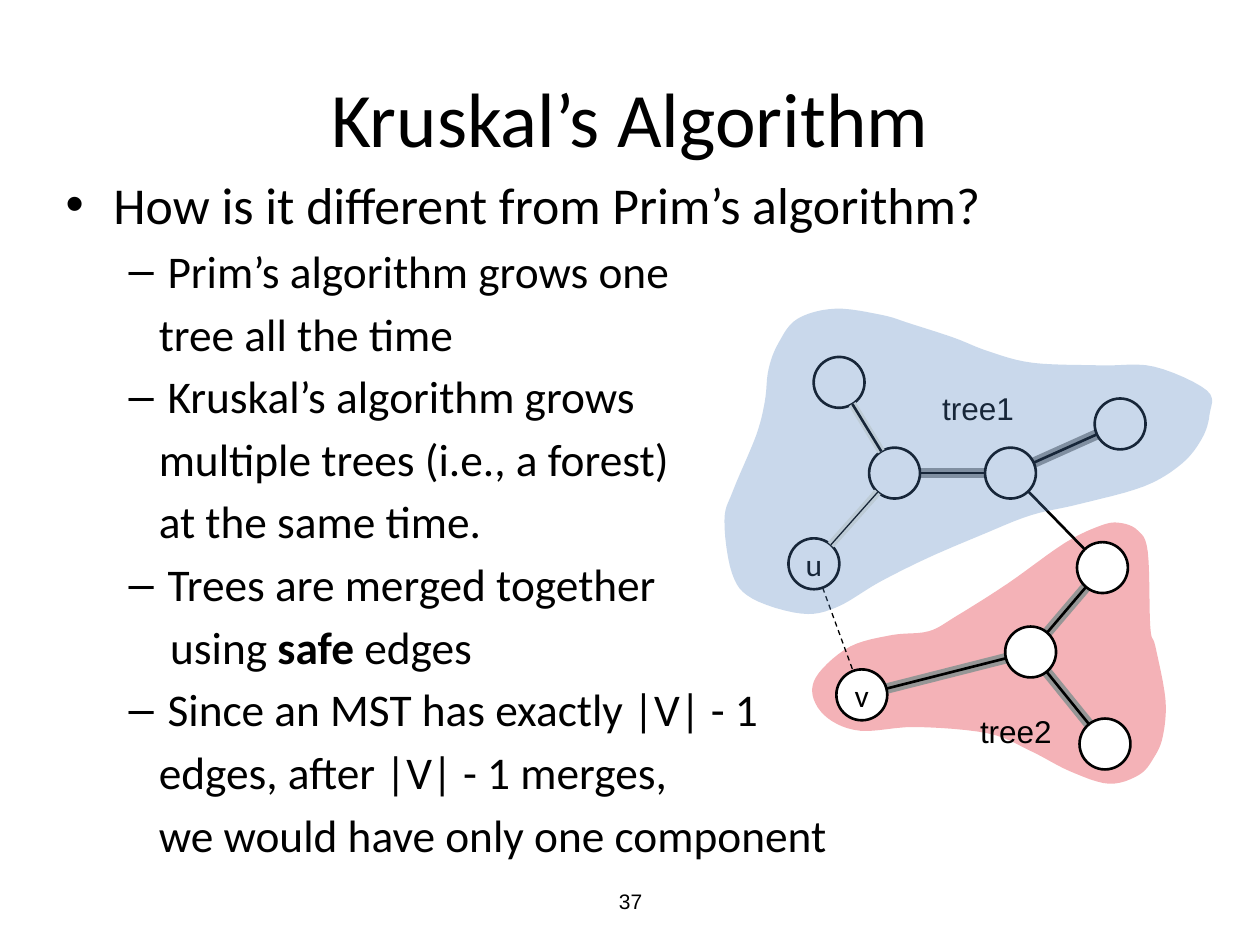
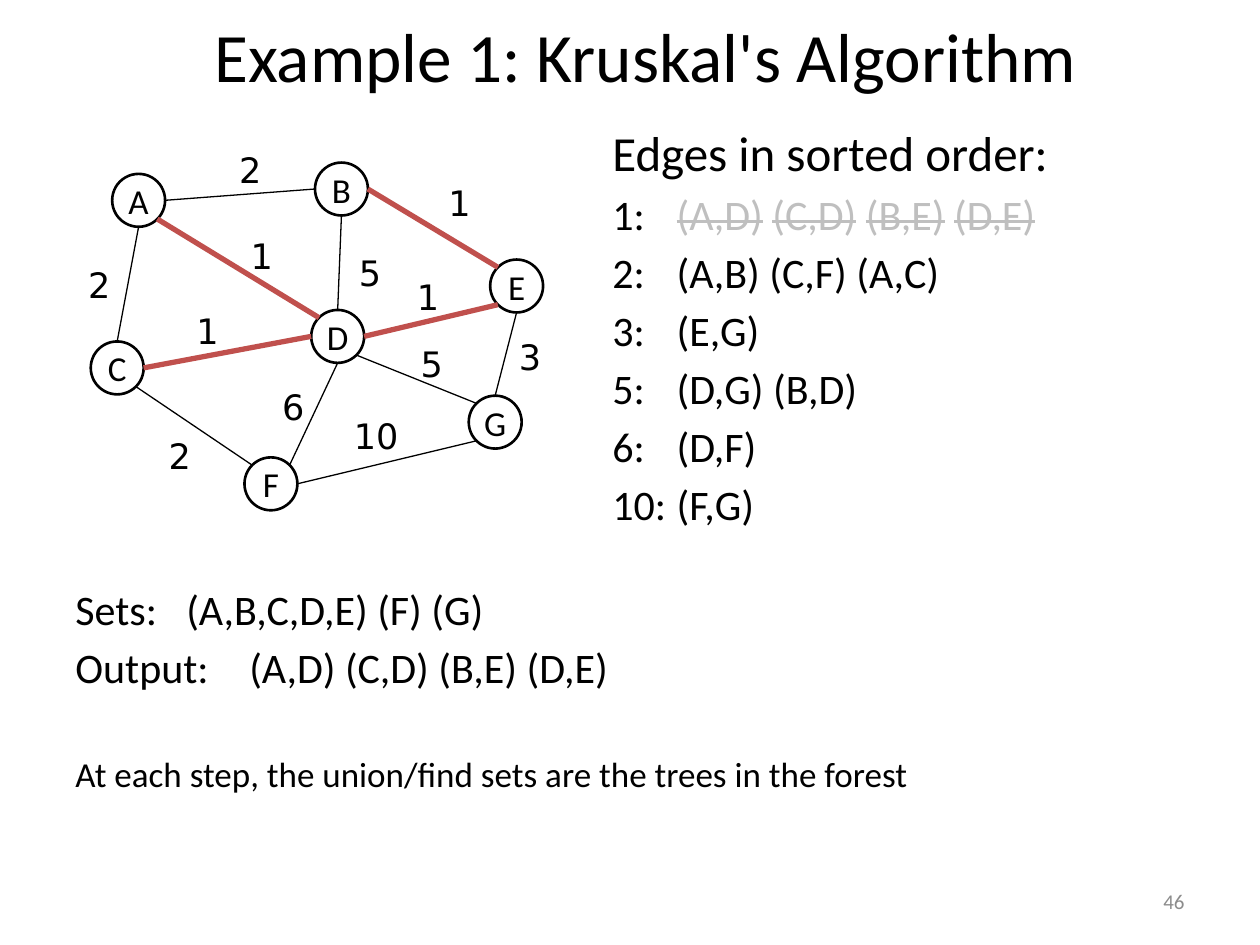
"""Build two slides on Kruskal's algorithm."""
from dataclasses import dataclass
from math import atan2, cos, radians, sin
from typing import NamedTuple

from lxml import etree
from pptx import Presentation
from pptx.dml.color import RGBColor
from pptx.enum.dml import MSO_LINE
from pptx.enum.shapes import MSO_CONNECTOR, MSO_SHAPE
from pptx.enum.text import MSO_ANCHOR, MSO_AUTO_SIZE, PP_ALIGN
from pptx.oxml.ns import qn
from pptx.util import Emu, Inches, Pt

STRAIGHT, OVAL, DASH = MSO_CONNECTOR.STRAIGHT, MSO_SHAPE.OVAL, MSO_LINE.DASH
MIDDLE = MSO_ANCHOR.MIDDLE
LEFT, CENTER, RIGHT = PP_ALIGN.LEFT, PP_ALIGN.CENTER, PP_ALIGN.RIGHT
FIXED, GROW = MSO_AUTO_SIZE.NONE, MSO_AUTO_SIZE.SHAPE_TO_FIT_TEXT

WIDTH, HEIGHT = Inches(10), Inches(7.5)
CELL = WIDTH / 100
GAP_SHARE = 0.18
BLACK, WHITE, GREY, PALE = "000000", "FFFFFF", "969696", "EEECE1"
BLUE, RED, CHOSEN, DONE, FOOTER = "4F81BD", "DD0111", "C0504D", "BFBFBF", "8C8C8C"
COMPASS = {"E": 0, "SE": 45, "S": 90, "SW": 135, "W": 180, "NW": 225, "N": 270, "NE": 315}


class Box(NamedTuple):
    """A place on the grid of 100 columns and 75 rows."""
    left: float
    top: float
    width: float
    height: float


@dataclass
class Para:
    """A paragraph with its runs, size and indents in columns."""
    runs: list
    size: float
    left: float = 0
    first: float = 0
    bullet: str = ""
    tab: float = 0
    level: int = 0


@dataclass
class Node:
    """A graph node given by its centre and radius."""
    x: float
    y: float
    radius: float
    text: str = ""


@dataclass
class Edge:
    """A line between two nodes, at compass points or the nearest rims."""
    start: str
    end: str
    color: str = BLACK
    width: float = 1.5
    sites: tuple = ()
    dashed: bool = False


@dataclass
class Label:
    """A short piece of free text."""
    text: str
    box: Box


def rgb(color: str) -> RGBColor:
    """Turn a hex string into a colour."""
    return RGBColor.from_string(color)


def cells(*values: float) -> list:
    """Turn grid cells into lengths."""
    return [Emu(round(v * CELL)) for v in values]


def format_with(target, **values) -> None:
    """Set several attributes of one object."""
    for name, value in values.items():
        setattr(target, name, value)


def add_run(p, text: str, size: float, font: str = "Calibri", color: str = BLACK,
            bold: bool = False, strike: bool = False) -> None:
    """Add a formatted run to a paragraph."""
    r = p.add_run()
    r.text = text
    format_with(r.font, size=Pt(size), name=font, bold=bold)
    r.font.color.rgb = rgb(color)
    if strike:
        r._r.get_or_add_rPr().set("strike", "sngStrike")


def fill_paragraphs(tf, paras: list) -> None:
    """Write indented paragraphs into a text frame."""
    for i, para in enumerate(paras):
        p = tf.paragraphs[0] if i == 0 else tf.add_paragraph()
        p.level = para.level
        pPr = p._p.get_or_add_pPr()
        left, first = cells(para.left, para.first)
        pPr.set("marL", str(left))
        pPr.set("indent", str(first))
        if para.bullet:
            etree.SubElement(pPr, qn("a:buChar")).set("char", para.bullet)
        else:
            etree.SubElement(pPr, qn("a:buNone"))
        if para.tab:
            tabs = etree.SubElement(pPr, qn("a:tabLst"))
            stop = etree.SubElement(tabs, qn("a:tab"))
            stop.set("pos", str(cells(para.tab)[0]))
            stop.set("algn", "l")
        p.space_before = Pt(round(para.size * GAP_SHARE, 1) if i else 0)
        for text, look in para.runs:
            add_run(p, text, para.size, **look)


def place(sp, box: Box) -> None:
    """Move a placeholder to a grid box."""
    format_with(sp, **dict(zip(Box._fields, cells(*box))))


def start_slide(prs, title: str, size: float, title_box: Box, body: list, body_box: Box):
    """Add a slide with its title and body placeholders filled."""
    s = prs.slides.add_slide(prs.slide_layouts[1])
    head, main = s.placeholders
    place(head, title_box)
    place(main, body_box)
    for sp in (head, main):
        format_with(sp.text_frame, auto_size=FIXED, word_wrap=True)
    head.text_frame.vertical_anchor = MIDDLE
    p = head.text_frame.paragraphs[0]
    p.alignment = CENTER
    add_run(p, title, size)
    fill_paragraphs(main.text_frame, body)
    return s


def add_text(s, label: Label, size: float, font: str = "Calibri", color: str = BLACK,
             align=LEFT, **frame) -> None:
    """Add a one-line text box."""
    tf = s.shapes.add_textbox(*cells(*label.box)).text_frame
    format_with(tf, **({"word_wrap": False, "auto_size": GROW} | frame))
    p = tf.paragraphs[0]
    p.alignment = align
    add_run(p, label.text, size, font, color)


def add_number(s, number: str, box: Box, **look) -> None:
    """Add the slide number."""
    add_text(s, Label(number, box), 12, word_wrap=True, auto_size=FIXED,
             vertical_anchor=MIDDLE, **look)


def add_node(s, node: Node, size: float, fill: str = "") -> None:
    """Draw a node as a circle."""
    d = 2 * node.radius
    sp = s.shapes.add_shape(OVAL, *cells(node.x - node.radius, node.y - node.radius, d, d))
    sp.shadow.inherit = False
    if fill:
        sp.fill.solid()
        sp.fill.fore_color.rgb = rgb(fill)
    else:
        sp.fill.background()
    sp.line.color.rgb = rgb(BLACK)
    sp.line.width = Pt(1.5)
    if node.text:
        format_with(sp.text_frame, word_wrap=False, vertical_anchor=MIDDLE)
        p = sp.text_frame.paragraphs[0]
        p.alignment = CENTER
        add_run(p, node.text, size)


def rim(node: Node, other: Node, site: str) -> tuple:
    """Find the point on a node's rim where an edge ends."""
    angle = radians(COMPASS[site]) if site else atan2(other.y - node.y, other.x - node.x)
    return node.x + node.radius * cos(angle), node.y + node.radius * sin(angle)


def add_edge(s, nodes: dict, edge: Edge) -> None:
    """Draw an edge as a connector."""
    a, b = nodes[edge.start], nodes[edge.end]
    site_a, site_b = edge.sites or ("", "")
    c = s.shapes.add_connector(STRAIGHT, *cells(*rim(a, b, site_a), *rim(b, a, site_b)))
    c.line.color.rgb = rgb(edge.color)
    c.line.width = Pt(edge.width)
    if edge.dashed:
        c.line.dash_style = DASH
    etree.SubElement(c._element.spPr, qn("a:effectLst"))


def smooth(points: list, steps: int = 6) -> list:
    """Round a closed outline with a Catmull-Rom curve."""
    n, curve = len(points), []
    for i in range(n):
        corners = [points[(i + k) % n] for k in (-1, 0, 1, 2)]
        for step in range(steps):
            t = step / steps
            curve.append(cells(*[
                (2 * b + (c - a) * t + (2 * a - 5 * b + 4 * c - d) * t ** 2
                 + (3 * b - a - 3 * c + d) * t ** 3) / 2 for a, b, c, d in zip(*corners)]))
    return curve


def add_region(s, points: list, color: str) -> None:
    """Draw a see-through region around a tree."""
    start, *rest = smooth(points)
    builder = s.shapes.build_freeform(*start)
    builder.add_line_segments(rest, close=True)
    sp = builder.convert_to_shape()
    sp.shadow.inherit = False
    sp.fill.solid()
    sp.fill.fore_color.rgb = rgb(color)
    sp.line.fill.background()
    tint = sp._element.spPr.find(qn("a:solidFill"))[0]
    etree.SubElement(tint, qn("a:alpha")).set("val", "30000")


TREE1_OUTLINE = [
    (63.3, 25.3), (61.8, 27.2), (61, 29.3), (60.7, 31.9), (60, 34.6), (58.2, 38.9),
    (57.5, 41.3), (58.1, 45.5), (59.7, 47.5), (63.6, 48.7), (66.4, 48.2), (69.8, 46.2),
    (73.6, 44.3), (77.8, 42.5), (81.8, 40.9), (85.7, 40), (90.8, 38.6), (93.8, 36.8),
    (95.4, 34.8), (96, 32.9), (95.8, 31), (91.6, 29.1), (87.4, 29), (82, 28.8),
    (78.5, 27.9), (75.7, 26.8), (72.3, 25.7), (70, 25), (66.3, 24.5)]
TREE2_OUTLINE = [
    (73.7, 50.1), (70.8, 50.4), (67.5, 51.3), (65, 53.4), (64.5, 55.2), (65.7, 57),
    (68.3, 58), (72.7, 57.7), (78.4, 58.2), (81.8, 59.6), (84.9, 61.2), (88, 62.2),
    (90.4, 61.5), (91.6, 60.1), (92.3, 58.4), (92.5, 55.5), (91.7, 51.3), (91.3, 49.8),
    (91.1, 43.8), (90.3, 42.1), (88.9, 41.5), (87.4, 41.7), (84.5, 43.1), (80, 46.3),
    (75.9, 48.9)]
FOREST = {name: Node(x, y, 2.02, text) for name, x, y, text in [
    ("u", 64.6, 44.75, "u"), ("hub1", 71, 37.55, ""), ("mid", 80.2, 37.55, ""),
    ("east", 88.9, 33.65, ""), ("top", 66.6, 30.35, ""), ("right", 87.5, 45.05, ""),
    ("hub2", 81.8, 51.75, ""), ("low", 87.7, 59.05, ""), ("v", 68.4, 55.15, "v")]}
SAFE_EDGES = [("hub1", "mid"), ("mid", "east"), ("v", "hub2"), ("hub2", "right"),
              ("hub2", "low")]
PALE_EDGES = [("u", "hub1"), ("top", "hub1")]

CITIES = {name: Node(x, y, 2.1, name) for name, x, y in [
    ("A", 11, 15.9), ("B", 27.1, 15), ("C", 9.3, 29.2), ("D", 26.8, 26.7),
    ("F", 21.5, 38.4), ("E", 41, 22.7), ("G", 39.3, 33.5)]}
CHOSEN_EDGES = ["A SE D NW", "C E D W", "D E E SW", "E NW B E"]
OPEN_EDGES = ["A S C N", "B W A E", "D N B S", "C SE F NW", "D S F NE", "D SE G NW",
              "G N E S", "F E G SW"]
WEIGHTS = [("2", 18, 11.3), ("1", 18.9, 18.1), ("2", 6, 20.4), ("5", 27.5, 19.5),
           ("1", 14.6, 24.1), ("1", 32.1, 21.4), ("1", 34.6, 13.9), ("2", 12.4, 34),
           ("6", 21.4, 30.1), ("5", 32.4, 26.7), ("3", 40.2, 26.1), ("10", 27.1, 32.4)]


def dash(text: str) -> Para:
    """Make a dashed second-level paragraph."""
    return Para([(text, {})], 25.9, 8.1, -3.1, "–", level=1)


def follow(*runs: tuple, left: float = 7.4) -> Para:
    """Make a line that goes on below a dashed one."""
    return Para(list(runs), 25.9, left, level=1)


def sorted_row(weight: str, *runs: tuple) -> Para:
    """Make a row of edges that share a weight."""
    return Para([(weight + ":\t", {}), *runs], 24, 5.1, -5.1, tab=6.9)


def build_comparison(prs) -> None:
    """Build the slide that compares the two algorithms."""
    body = [
        Para([("How is it different from Prim’s algorithm?", {})], 29.6, 3.8, -3.8, "•"),
        dash("Prim’s algorithm grows one"), follow(("tree all the time", {})),
        dash("Kruskal’s algorithm grows"), follow(("multiple trees (i.e., a forest)", {})),
        follow(("at the same time.", {})), dash("Trees are merged together"),
        follow(("using ", {}), ("safe", {"bold": True}), (" edges", {}), left=8.3),
        dash("Since an MST has exactly |V| - 1"),
        follow(("edges, after |V| - 1 merges,", {})),
        follow(("we would have only one component", {}))]
    s = start_slide(prs, "Kruskal’s Algorithm", 44, Box(5, 3, 90, 12.5),
                    body, Box(4.2, 13.2, 90, 55.5))
    add_number(s, "37", Box(34.2, 69.5, 31.7, 4), font="Arial", align=CENTER)
    add_region(s, TREE2_OUTLINE, RED)
    for pair in SAFE_EDGES:
        add_edge(s, FOREST, Edge(*pair, GREY, 6))
    for node in FOREST.values():
        add_node(s, node, 18, WHITE)
    for pair in PALE_EDGES:
        add_edge(s, FOREST, Edge(*pair, PALE, 4.5))
    for pair in SAFE_EDGES + [("mid", "right"), ("top", "hub1")]:
        add_edge(s, FOREST, Edge(*pair))
    add_edge(s, FOREST, Edge("u", "hub1", width=0.75))
    add_edge(s, FOREST, Edge("u", "v", width=0.75, dashed=True))
    for text, x, y in (("tree1", 73.8, 30.4), ("tree2", 76.8, 56)):
        add_text(s, Label(text, Box(x, y, 7.7, 4)), 18, "Arial")
    add_region(s, TREE1_OUTLINE, BLUE)


def build_example(prs) -> None:
    """Build the slide with the worked example."""
    done = {"color": DONE, "strike": True}
    pairs = ["(A,D)", "(C,D)", "(B,E)", "(D,E)"]
    struck = [run for pair in pairs for run in ((pair, done), (" ", {}))][:-1]
    rows = {"2": "(A,B) (C,F) (A,C)", "3": "(E,G)", "5": "(D,G) (B,D)", "6": "(D,F)",
            "10": "(F,G)"}
    body = [Para([("Edges in sorted order:", {})], 28, 3.8, -3.8), sorted_row("1", *struck)]
    body += [sorted_row(weight, (text, {})) for weight, text in rows.items()]
    s = start_slide(prs, "Example 1: Kruskal's Algorithm", 39.6, Box(5, 1.7, 92.5, 5.3),
                    body, Box(47.6, 9.2, 51.2, 36.7))
    note = "At each step, the union/find sets are the trees in the forest"
    add_text(s, Label(note, Box(5, 59.2, 85.2, 4.4)), 20)
    tf = s.shapes.add_textbox(*cells(5, 45.8, 77.5, 9.9)).text_frame
    format_with(tf, word_wrap=True, auto_size=GROW)
    fill_paragraphs(tf, [Para([(text, {})], 24, 3.8, -3.8, tab=14.4) for text in (
        "Sets:\t(A,B,C,D,E) (F) (G)", "Output:\t" + " ".join(pairs))])
    add_number(s, "46", Box(71.7, 69.5, 23.3, 4), color=FOOTER, align=RIGHT)
    for node in CITIES.values():
        add_node(s, node, 20)
    for routes, color, width in ((OPEN_EDGES, BLACK, 0.75), (CHOSEN_EDGES, CHOSEN, 3)):
        for route in routes:
            start, site_a, end, site_b = route.split()
            add_edge(s, CITIES, Edge(start, end, color, width, (site_a, site_b)))
    for text, x, y in WEIGHTS:
        add_text(s, Label(text, Box(x, y, 2 + 1.8 * len(text), 4.4)), 20, "DejaVu Sans")


def main() -> None:
    """Build and save the presentation."""
    prs = Presentation()
    format_with(prs, slide_width=WIDTH, slide_height=HEIGHT)
    build_comparison(prs)
    build_example(prs)
    prs.save("out.pptx")


if __name__ == "__main__":
    main()
